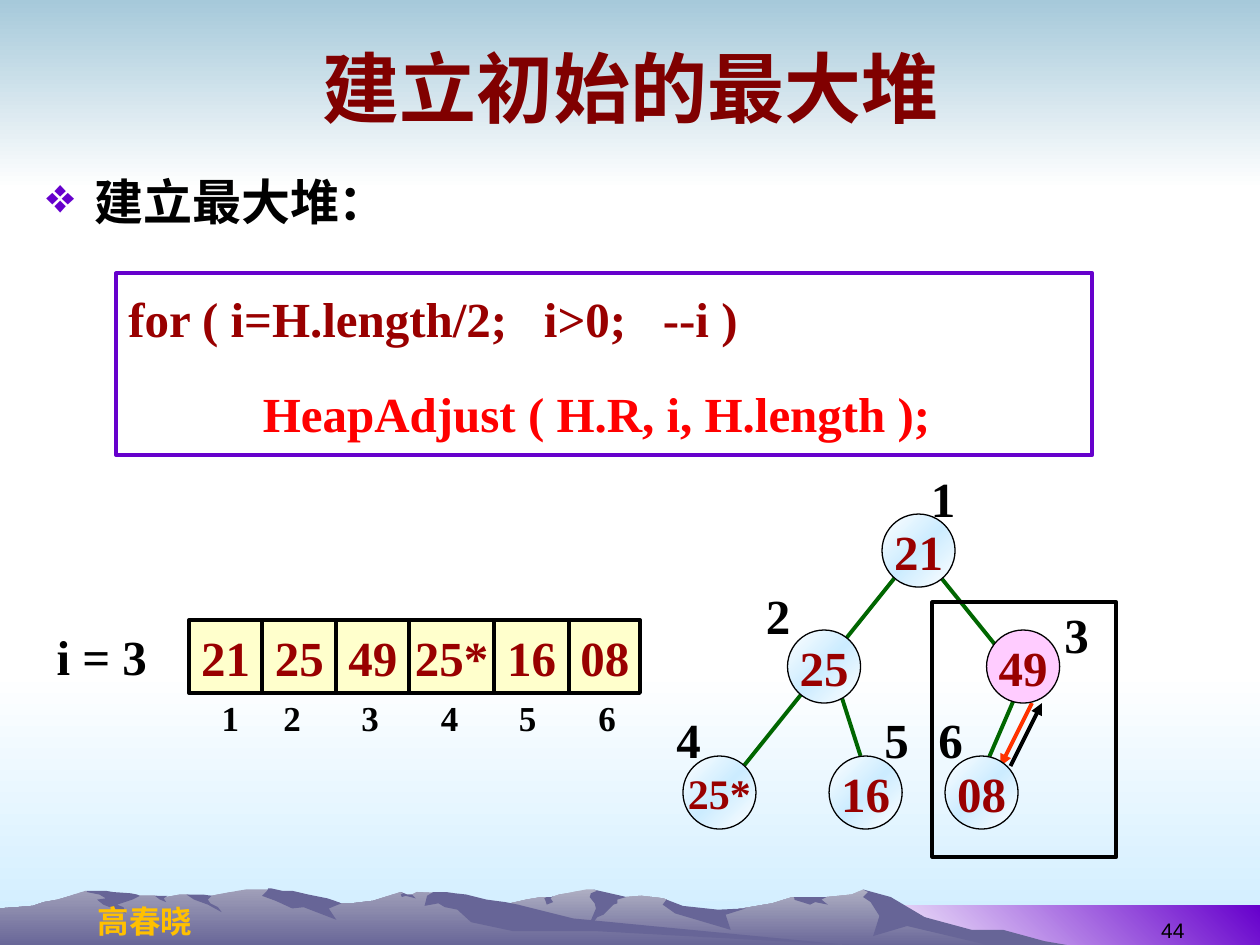
from copy import deepcopy
from dataclasses import dataclass
from itertools import pairwise

from lxml.etree import SubElement
from pptx import Presentation
from pptx.dml.color import RGBColor
from pptx.enum.shapes import MSO_CONNECTOR, MSO_SHAPE
from pptx.enum.text import MSO_ANCHOR, PP_ALIGN
from pptx.oxml.ns import qn
from pptx.util import Inches, Pt


@dataclass(frozen=True)
class Theme:
    latin: str = "Times New Roman"
    chinese: str = "Noto Sans CJK SC"
    number_font: str = "Arial"
    black: str = "000000"
    title: str = "800000"
    value: str = "990000"
    call: str = "FF0000"
    accent: str = "6600CC"
    author: str = "FFC000"
    edge: str = "006600"
    swap: str = "FF3300"
    cell: str = "FFFFCC"
    active: str = "FFCCFF"
    shade: str = "676597"
    node: tuple = ("FFFFFF", "CCECFF", "FFFFFF")
    lower_sky: tuple = ("FFFFFF", "CCECFF")
    upper_sky: tuple = ("A6C9DA", "FFFFFF")
    band: tuple = ("FFFFFF", "6600CC")
    far_hill: tuple = ("AEAEC2", "676597")
    near_hill: tuple = ("9F9EB8", "676597")
    title_size: int = 44
    text_size: int = 28
    long_value_size: int = 24
    index_size: int = 20
    author_size: int = 18
    number_size: int = 12
    thick: float = 2.25
    thin: float = 0.75


THEME = Theme()

FAR_HILL = """802,746 778,740 764,738 723,725 702,712 685,706 676,710 656,712 629,712 613,717
566,725 536,721 529,714 526,713 509,711 497,712 486,713 474,707 471,706 465,706 450,709 444,710
438,712 430,712 418,714 405,717 395,718 355,725 327,731 277,745 258,752 821,752"""
NEAR_HILL = """690,752 667,750 432,732 354,709 331,708 327,710 323,710 318,708 296,715 279,717
271,717 260,715 236,717 223,708 219,707 212,706 195,706 189,707 178,709 168,711 160,712 148,710
143,710 132,712 123,711 111,711 94,712 68,707 56,711 46,714 35,716 26,719 14,720 0,721 0,752"""
FAR_SHADES = (
    "796,738 771,738 734,728 707,712 685,706 689,708 685,712 691,716 698,727 693,743 720,735 "
    "792,752 858,752 829,747",
    "471,706 474,707 469,709 468,712 472,717 473,721 465,740 474,728 479,726 487,718 490,717 "
    "490,714 497,712 493,711",
    "529,714 526,718 536,725 580,738 576,726 592,721 570,722 542,719",
    "650,712 630,712 631,714 630,714 643,718 647,716 657,718 652,714 656,712",
    "433,715 432,713 434,712 438,712 439,711 437,713 439,716 434,718",
)
NEAR_SHADES = (
    "212,707 208,711 219,715 232,721 241,720 267,730 261,721 271,717 266,715 260,713 245,710 "
    "232,707 224,707 215,705 213,705",
    "370,710 361,709 354,708 344,708 339,711 337,719 348,717 353,720 363,722 374,732 407,739 "
    "472,739 690,751 683,751 455,729 427,722 411,718 401,716 386,714",
    "318,710 320,709 318,708 323,710 327,710 330,713 326,712 322,711 319,712",
    "154,710 161,710 168,711 165,714 167,717 173,720 176,724 165,718 154,714 148,710",
    "133,711 130,713 132,716 127,714 123,711",
    "109,710 111,711 105,714 93,718 98,720 100,725 82,718 77,714 84,713 79,710 69,708 69,707 "
    "84,707 90,708 104,709",
)


def paint(shape, fill, angle=0):
    if fill is None:
        shape.fill.background()
    elif isinstance(fill, str):
        shape.fill.solid()
        shape.fill.fore_color.rgb = RGBColor.from_string(fill)
    else:
        shape.fill.gradient()
        shape.fill.gradient_angle = angle
        stops = shape._element.spPr.find(".//" + qn("a:gsLst"))
        for _ in fill[2:]:
            stops.append(deepcopy(stops[0]))
        for index, (stop, color) in enumerate(zip(shape.fill.gradient_stops, fill)):
            stop.color.rgb = RGBColor.from_string(color)
            stop.position = index / (len(fill) - 1)


def outline(shape, color, width=THEME.thick):
    if color is None:
        shape.line.fill.background()
    else:
        shape.line.color.rgb = RGBColor.from_string(color)
        shape.line.width = Pt(width)


def add_run(paragraph, text, color=THEME.black, size=THEME.text_size, font=THEME.latin, bold=True):
    run = paragraph.add_run()
    run.text = text
    for name, value in {"name": font, "size": Pt(size), "bold": bold}.items():
        setattr(run.font, name, value)
    run.font.color.rgb = RGBColor.from_string(color)
    SubElement(run.font._element, qn("a:ea"), typeface=THEME.chinese)


def write(shape, text, align=PP_ALIGN.LEFT, anchor=MSO_ANCHOR.TOP, wrap=False, **run_format):
    frame = shape.text_frame
    for name, value in {"word_wrap": wrap, "vertical_anchor": anchor}.items():
        setattr(frame, name, value)
    paragraph = frame.paragraphs[0]
    paragraph.alignment = align
    add_run(paragraph, text, **run_format)
    return paragraph


def add_text(slide, box, text, **text_format):
    return write(slide.shapes.add_textbox(*map(Inches, box)), text, **text_format)


def add_block(slide, kind, box, fill=None, line=None, width=THEME.thick, angle=0):
    shape = slide.shapes.add_shape(kind, *map(Inches, box))
    shape.shadow.inherit = False
    paint(shape, fill, angle)
    outline(shape, line, width)
    return shape


def add_hill(slide, points, fill):
    start, *others = [tuple(map(int, point.split(","))) for point in points.split()]
    builder = slide.shapes.build_freeform(*start, scale=Inches(0.01))
    builder.add_line_segments(others, close=True)
    shape = builder.convert_to_shape()
    shape.shadow.inherit = False
    paint(shape, fill, 270)
    outline(shape, None)


def add_line(slide, ends, color, arrow=False):
    connector = slide.shapes.add_connector(MSO_CONNECTOR.STRAIGHT, *map(Inches, ends))
    outline(connector, color)
    if arrow:
        SubElement(connector.line._get_or_add_ln(), qn("a:tailEnd"), type="triangle")
    SubElement(connector._element.spPr, qn("a:effectLst"))


def add_backdrop(slide):
    for box, fill, angle in (((0, 5.33, 10, 2.17), THEME.lower_sky, 270),
                             ((0, 0, 10, 1.5), THEME.upper_sky, 270),
                             ((6.83, 7.19, 3.17, 0.33), THEME.band, 45)):
        add_block(slide, MSO_SHAPE.RECTANGLE, box, fill, angle=angle)
    for hill, fill, shades in ((FAR_HILL, THEME.far_hill, FAR_SHADES),
                               (NEAR_HILL, THEME.near_hill, NEAR_SHADES)):
        add_hill(slide, hill, fill)
        for shade in shades:
            add_hill(slide, shade, THEME.shade)
    add_text(slide, (0.67, 7.11, 0.96, 0.4), "高春晓", align=PP_ALIGN.CENTER,
             color=THEME.author, size=THEME.author_size, font=THEME.chinese)
    add_text(slide, (7.17, 7.03, 2.33, 0.5), "44", align=PP_ALIGN.RIGHT, wrap=True,
             anchor=MSO_ANCHOR.BOTTOM, size=THEME.number_size, font=THEME.number_font, bold=False)


def add_headings(slide):
    add_text(slide, (0.51, 0.13, 9, 1.12), "建立初始的最大堆", align=PP_ALIGN.CENTER, wrap=True,
             anchor=MSO_ANCHOR.MIDDLE, color=THEME.title, size=THEME.title_size)
    paragraph = add_text(slide, (0.27, 1.31, 9.45, 5.67), "建立最大堆：", wrap=True)
    properties = paragraph._element.get_or_add_pPr()
    properties.set("marL", str(Inches(0.38)))
    properties.set("indent", str(-Inches(0.38)))
    SubElement(SubElement(properties, qn("a:buClr")), qn("a:srgbClr"), val=THEME.accent)
    SubElement(properties, qn("a:buChar"), char="❖")


def add_code(slide):
    shape = add_block(slide, MSO_SHAPE.RECTANGLE, (0.92, 2.17, 7.75, 1.44), line=THEME.accent)
    first = write(shape, "for ( i=H.length/2;   i>0;   --i )", wrap=True, color=THEME.value)
    second = shape.text_frame.add_paragraph()
    second.alignment = PP_ALIGN.LEFT
    second.space_before = Pt(16)
    add_run(second, "           HeapAdjust ( H.R, i, H.length );", color=THEME.call)
    for paragraph in (first, second):
        paragraph.line_spacing = 1.15


def add_tree(slide):
    add_line(slide, (8.02, 6.08, 8.27, 5.58), THEME.black, arrow=True)
    add_line(slide, (8.19, 5.58, 7.94, 6.08), THEME.swap, arrow=True)
    for ends in ((8.07, 5.5, 7.82, 6.08), (7.4, 4.5, 8.07, 5.33),
                 (6.67, 5.5, 6.83, 6), (7.17, 4.5, 5.83, 6.17)):
        add_line(slide, ends, THEME.edge)
    nodes = (("21", 7, 4.08, 7.29, 3.67), ("25", 6.25, 5, 5.98, 4.6), ("49", 7.83, 5, 8.35, 4.75),
             ("25*", 5.42, 6, 5.27, 5.58), ("16", 6.58, 6, 6.92, 5.58), ("08", 7.5, 6, 7.35, 5.58))
    for number, (value, left, top, label_left, label_top) in enumerate(nodes, 1):
        fill = THEME.active if value == "49" else THEME.node
        size = THEME.long_value_size if len(value) > 2 else THEME.text_size
        node = add_block(slide, MSO_SHAPE.OVAL, (left, top, 0.58, 0.58), fill, THEME.black,
                         THEME.thin, angle=315)
        write(node, value, PP_ALIGN.CENTER, MSO_ANCHOR.MIDDLE, color=THEME.value, size=size)
        add_text(slide, (label_left, label_top, 0.4, 0.57), str(number))
    add_block(slide, MSO_SHAPE.RECTANGLE, (7.4, 4.78, 1.46, 2.02), line=THEME.black)


def add_array(slide):
    add_text(slide, (0.35, 4.92, 0.92, 0.57), "i = 3")
    borders = (1.5, 2.08, 2.67, 3.25, 3.92, 4.52, 5.08)
    for value, (left, right) in zip(("21", "25", "49", "25*", "16", "08"), pairwise(borders)):
        cell = add_block(slide, MSO_SHAPE.RECTANGLE, (left, 4.92, right - left, 0.58),
                         THEME.cell, THEME.black)
        write(cell, value, PP_ALIGN.CENTER, MSO_ANCHOR.MIDDLE, color=THEME.value)
    paragraph = add_text(slide, (1.46, 5.48, 3.58, 0.44), "\t1\t2\t3\t4\t5\t6", wrap=True,
                         size=THEME.index_size)
    tabs = SubElement(paragraph._element.get_or_add_pPr(), qn("a:tabLst"))
    for position in (0.27, 0.76, 1.38, 2.01, 2.63, 3.26):
        SubElement(tabs, qn("a:tab"), pos=str(Inches(position)), algn="ctr")


def main():
    presentation = Presentation()
    presentation.slide_width, presentation.slide_height = Inches(10), Inches(7.5)
    slide = presentation.slides.add_slide(presentation.slide_layouts[6])
    for add_part in (add_backdrop, add_headings, add_code, add_tree, add_array):
        add_part(slide)
    presentation.save("out.pptx")


if __name__ == "__main__":
    main()
